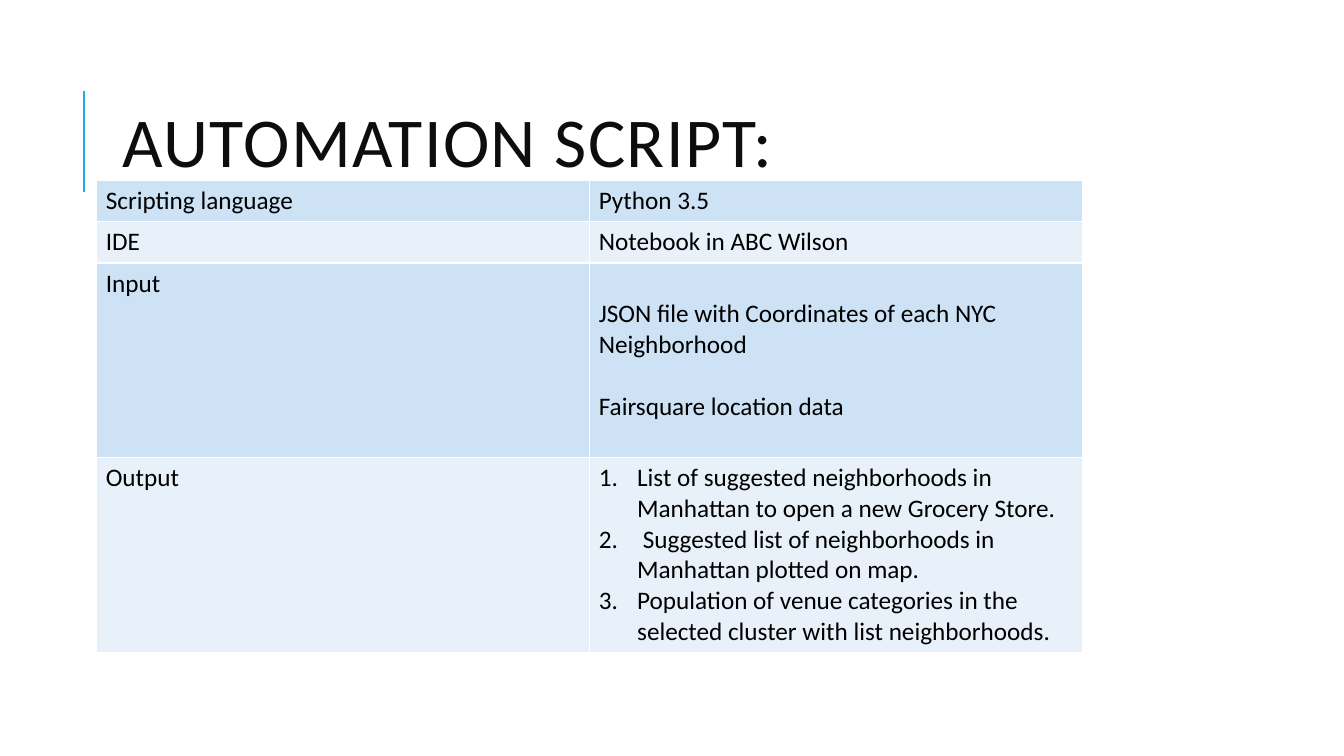
from lxml import etree
from pptx import Presentation
from pptx import util as u
from pptx.dml.color import RGBColor
from pptx.enum import shapes, text
from pptx.oxml.ns import qn

# Content
TITLE = "AUTOMATION SCRIPT:"
ROWS = [  # label, paragraphs, row height
    ("Scripting language", ["Python 3.5"], 41),
    ("IDE", ["Notebook in ABC Wilson"], 41),
    ("Input", ["JSON file with Coordinates of each NYC Neighborhood",
               "Fairsquare location data"], 193),
    ("Output", ["List of suggested neighborhoods in Manhattan to open a new Grocery Store.",
                " Suggested list of neighborhoods in Manhattan plotted on map.",
                "Population of venue categories in the selected cluster with list neighborhoods."], 193),
]
SPACED_ROW, NUMBERED_ROW = "Input", "Output"

# Style and layout, 100 px to the inch
FONT = "Calibri"
BANDS = ["CDE3F5", "E8F1FA"]
ACCENT, TITLE_COLOR, BLACK, WHITE = "1CADE4", "0D0D0D", "000000", "FFFFFF"
LEFT, TOP, COL_W = 96, 179, 489
BLANK_LINE = 22  # points
HANGING = 38


def px(n):
    return u.Emu(n * 9144)


def rgb(color):
    return RGBColor.from_string(color)


def write(p, words, size=18, color=BLACK, spacing=None):
    r = p.add_run()
    r.text = words
    r.font.size = u.Pt(size)
    r.font.name = FONT
    r.font.color.rgb = rgb(color)
    if spacing:
        r.font._element.set("spc", str(spacing))


def number(p):
    ppr = p._p.get_or_add_pPr()
    ppr.set("marL", str(px(HANGING)))
    ppr.set("indent", str(-px(HANGING)))
    etree.SubElement(ppr, qn("a:buFont"), typeface="+mj-lt")
    etree.SubElement(ppr, qn("a:buAutoNum"), type="arabicPeriod")


def border(cell, color):
    tcpr = cell._tc.get_or_add_tcPr()
    for side in ("L", "R", "T", "B"):
        ln = etree.SubElement(tcpr, qn("a:ln" + side), w=str(u.Pt(1)))
        fill = etree.SubElement(ln, qn("a:solidFill"))
        etree.SubElement(fill, qn("a:srgbClr"), val=color)


prs = Presentation()
prs.slide_width, prs.slide_height = px(1333), px(750)
s = prs.slides.add_slide(prs.slide_layouts[6])

# Accent line
line = s.shapes.add_connector(shapes.MSO_CONNECTOR.STRAIGHT, px(83), px(190), px(83), px(90))
line.line.color.rgb = rgb(ACCENT)
line.line.width = u.Pt(1.5)
etree.SubElement(line._element.spPr, qn("a:effectLst"))

# Title
tf = s.shapes.add_textbox(px(112), px(64), px(1063), px(164)).text_frame
tf.word_wrap = True
tf.vertical_anchor = text.MSO_ANCHOR.MIDDLE
tf.paragraphs[0].line_spacing = 0.8
write(tf.paragraphs[0], TITLE, size=50, color=TITLE_COLOR, spacing=100)

# Table
height = sum(h for _, _, h in ROWS)
table = s.shapes.add_table(len(ROWS), 2, px(LEFT), px(TOP), px(2 * COL_W), px(height)).table
table.first_row = table.horz_banding = False
for col in table.columns:
    col.width = px(COL_W)

for i, (label, details, row_h) in enumerate(ROWS):
    table.rows[i].height = px(row_h)
    for j, paragraphs in enumerate(([label], details)):
        cell = table.cell(i, j)
        border(cell, WHITE)
        cell.fill.solid()
        cell.fill.fore_color.rgb = rgb(BANDS[i % 2])
        cell.margin_left = cell.margin_right = px(9)
        cell.margin_top = cell.margin_bottom = px(5)
        spaced = j == 1 and label == SPACED_ROW
        if spaced:
            cell.margin_top = px(5) + u.Pt(BLANK_LINE)
        for k, words in enumerate(paragraphs):
            p = cell.text_frame.paragraphs[0] if k == 0 else cell.text_frame.add_paragraph()
            if spaced and k:
                p.space_before = u.Pt(BLANK_LINE)
            if j == 1 and label == NUMBERED_ROW:
                number(p)
            write(p, words)

prs.save("out.pptx")
